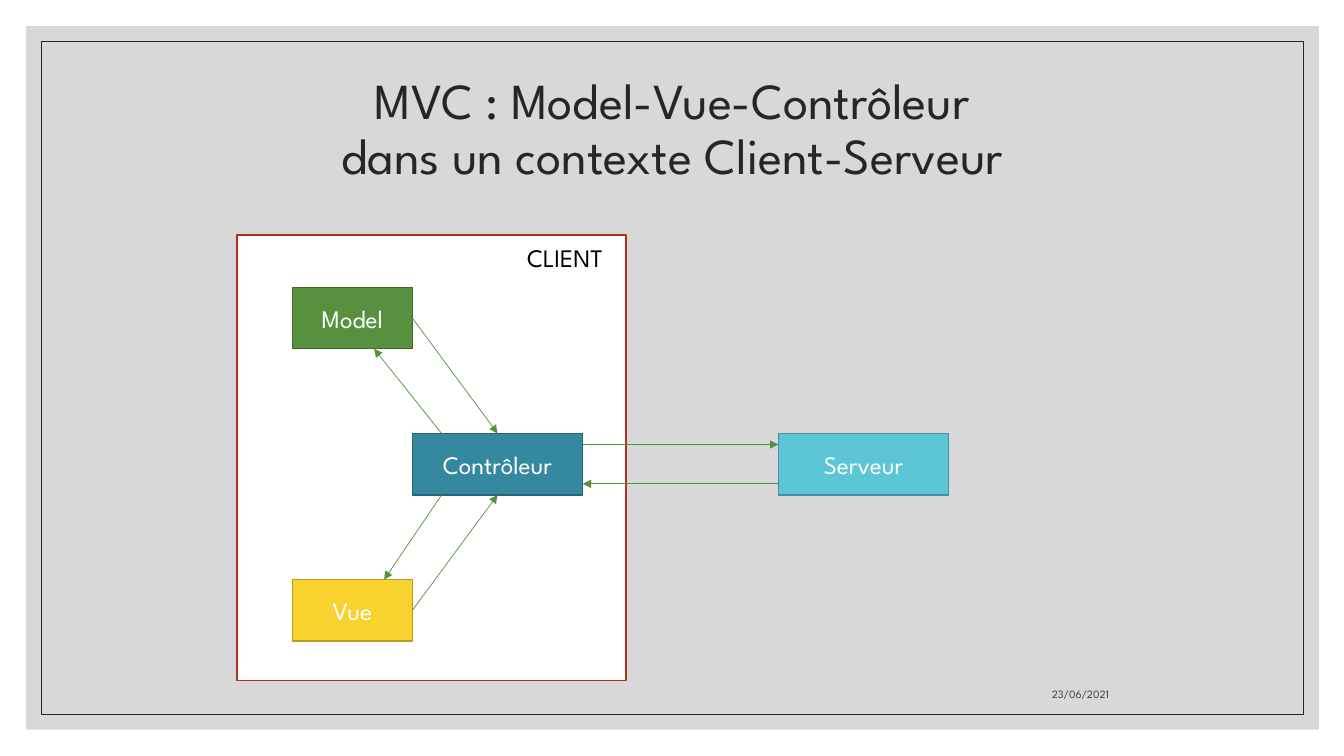
from lxml.etree import SubElement
from pptx import Presentation
from pptx.dml.color import RGBColor
from pptx.enum.shapes import MSO_CONNECTOR as Connector, MSO_SHAPE as Shape
from pptx.enum.text import MSO_ANCHOR as Anchor, PP_ALIGN as Align
from pptx.oxml.ns import qn
from pptx.util import Inches, Pt

FONT = "League Spartan"
WHITE = RGBColor(0xFF, 0xFF, 0xFF)
BLACK = RGBColor(0x00, 0x00, 0x00)
DARK = RGBColor(0x26, 0x26, 0x26)
DATE_GRAY = RGBColor(0x40, 0x40, 0x40)
PANEL_GRAY = RGBColor(0xBF, 0xBF, 0xBF)
RED = RGBColor(0xB2, 0x2F, 0x20)
GREEN = RGBColor(0x57, 0x90, 0x3F)
GREEN_EDGE = RGBColor(0x40, 0x6B, 0x2F)
BLUE = RGBColor(0x34, 0x88, 0xA0)
BLUE_EDGE = RGBColor(0x26, 0x65, 0x76)
YELLOW = RGBColor(0xF8, 0xD2, 0x2F)
YELLOW_EDGE = RGBColor(0xB7, 0x9B, 0x23)
CYAN = RGBColor(0x5C, 0xC6, 0xD6)
CYAN_EDGE = RGBColor(0x44, 0x92, 0x9E)

TOP, RIGHT, BOTTOM = 0, 3, 2
BOX_HEIGHT = 0.61
SMALL_WIDTH, LARGE_WIDTH = 1.19, 1.69
SMALL_LEFT, CONTROLLER_LEFT, SERVER_LEFT = 2.9, 4.09, 7.72
MODEL_TOP, CONTROLLER_TOP, VIEW_TOP = 2.85, 4.3, 5.75


def write_text(shape, text, size, color, align, anchor):
    """Fill a shape with one formatted paragraph."""
    frame = shape.text_frame
    frame.text = text
    frame.vertical_anchor = anchor
    paragraph = frame.paragraphs[0]
    paragraph.alignment = align
    for run in paragraph.runs:
        run.font.name = FONT
        run.font.size = Pt(size)
        run.font.color.rgb = color
    return paragraph


def add_rectangle(slide, box, fill=None, edge=None, width=1):
    """Add a flat rectangle with an optional fill and outline."""
    shape = slide.shapes.add_shape(Shape.RECTANGLE, *map(Inches, box))
    shape.shadow.inherit = False
    if fill is None:
        shape.fill.background()
    else:
        shape.fill.solid()
        shape.fill.fore_color.rgb = fill
    if edge is None:
        shape.line.fill.background()
    else:
        shape.line.color.rgb = edge
        shape.line.width = Pt(width)
    return shape


def add_component(slide, name, left, top, width, fill, edge):
    """Add a labelled component box."""
    shape = add_rectangle(slide, (left, top, width, BOX_HEIGHT), fill, edge)
    write_text(shape, name, 18, WHITE, Align.CENTER, Anchor.MIDDLE)
    return shape


def add_label(slide, box, text, size, color, align, anchor, wrap=True):
    """Add a text box and return its paragraph."""
    shape = slide.shapes.add_textbox(*map(Inches, box))
    shape.text_frame.word_wrap = wrap
    return write_text(shape, text, size, color, align, anchor)


def add_arrow(slide, start, end):
    """Add a thin green arrow between two points."""
    arrow = slide.shapes.add_connector(
        Connector.STRAIGHT, *map(Inches, (*start, *end)))
    arrow.line.color.rgb = GREEN
    arrow.line.width = Pt(0.5)
    SubElement(arrow.line._get_or_add_ln(), qn("a:tailEnd"), type="triangle")
    SubElement(arrow._element.spPr, qn("a:effectLst"))
    return arrow


def add_frame(slide):
    """Add the translucent panel and its thin inner border."""
    panel = add_rectangle(slide, (0.26, 0.26, 12.82, 6.98), PANEL_GRAY)
    color = panel._element.spPr.find(qn("a:solidFill"))[0]
    SubElement(color, qn("a:alpha"), val="60000")
    add_rectangle(slide, (0.41, 0.41, 12.52, 6.68), edge=DARK, width=0.5)


def add_diagram(slide):
    """Add the client area, the components and their exchanges."""
    add_rectangle(slide, (2.35, 2.33, 3.86, 4.42), WHITE, RED)
    controller = add_component(slide, "Contrôleur", CONTROLLER_LEFT,
                               CONTROLLER_TOP, LARGE_WIDTH, BLUE, BLUE_EDGE)
    model = add_component(slide, "Model", SMALL_LEFT, MODEL_TOP,
                          SMALL_WIDTH, GREEN, GREEN_EDGE)
    view = add_component(slide, "Vue", SMALL_LEFT, VIEW_TOP,
                         SMALL_WIDTH, YELLOW, YELLOW_EDGE)
    add_component(slide, "Serveur", SERVER_LEFT, CONTROLLER_TOP,
                  LARGE_WIDTH, CYAN, CYAN_EDGE)

    controller_bottom = CONTROLLER_TOP + BOX_HEIGHT
    controller_right = CONTROLLER_LEFT + LARGE_WIDTH
    add_arrow(slide, (4.38, CONTROLLER_TOP), (3.71, MODEL_TOP + BOX_HEIGHT))
    add_arrow(slide, (4.38, controller_bottom), (3.81, VIEW_TOP))
    for source, top, side, end in (
            (view, VIEW_TOP, BOTTOM, controller_bottom),
            (model, MODEL_TOP, TOP, CONTROLLER_TOP)):
        arrow = add_arrow(slide,
                          (SMALL_LEFT + SMALL_WIDTH, top + BOX_HEIGHT / 2),
                          (CONTROLLER_LEFT + LARGE_WIDTH / 2, end))
        arrow.begin_connect(source, RIGHT)
        arrow.end_connect(controller, side)
    add_arrow(slide, (controller_right, 4.41), (SERVER_LEFT, 4.41))
    add_arrow(slide, (SERVER_LEFT, 4.8), (controller_right, 4.8))
    add_label(slide, (5.13, 2.35, 1.01, 0.4), "CLIENT", 18, BLACK,
              Align.LEFT, Anchor.TOP, wrap=False)


def main():
    """Build and save the slide."""
    presentation = Presentation()
    presentation.slide_width = Inches(13.33)
    presentation.slide_height = Inches(7.5)
    slide = presentation.slides.add_slide(presentation.slide_layouts[6])
    add_frame(slide)
    title = add_label(
        slide, (1.17, 0.7, 11, 1.19),
        "MVC : Model-Vue-Contrôleur\vdans un contexte Client-Serveur",
        36, DARK, Align.CENTER, Anchor.MIDDLE)
    title.line_spacing = 0.9
    add_label(slide, (7.94, 6.6, 3.16, 0.4), "23/06/2021", 8, DATE_GRAY,
              Align.RIGHT, Anchor.BOTTOM)
    add_diagram(slide)
    presentation.save("out.pptx")


if __name__ == "__main__":
    main()
